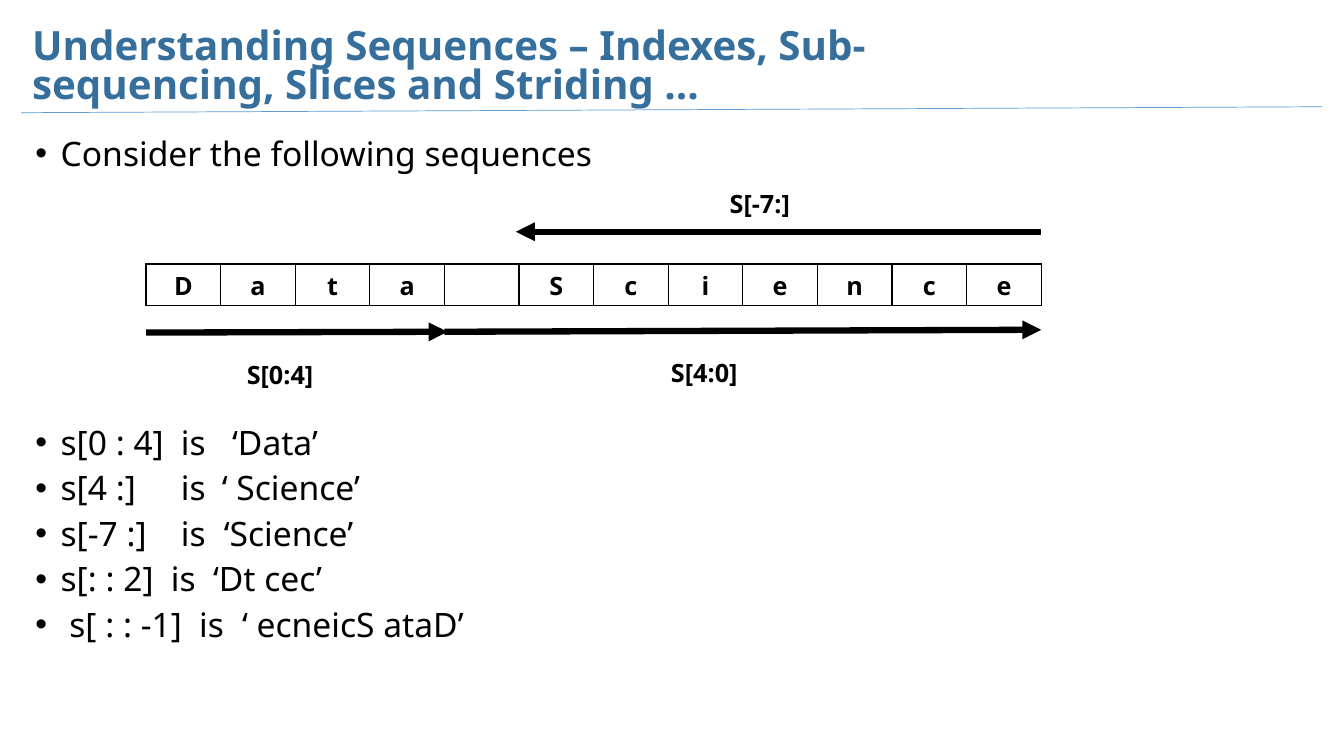
from dataclasses import dataclass
from lxml.etree import SubElement
from pptx import Presentation
from pptx.dml.color import RGBColor
from pptx.enum.shapes import MSO_CONNECTOR
from pptx.enum.text import MSO_ANCHOR, PP_ALIGN
from pptx.oxml.ns import qn
from pptx.util import Cm, Pt


@dataclass(frozen=True)
class Theme:
    font: str = "Noto Sans"
    blue: str = "366E9C"
    rule: str = "5B9BD5"
    ink: str = "000000"
    head: float = 28.8
    body: int = 24
    label: int = 18
    thin: float = 0.5
    edge: int = 1
    thick: float = 4.5


theme = Theme()
title = "Understanding Sequences – Indexes, Sub-sequencing, Slices and Striding …"
intro = [("Consider the following sequences", ())]
slices = [
    ("s[0 : 4]\tis\t‘Data’", (3.67, 4.96)),
    ("s[4 :]\tis\t‘ Science’", (3.67, 4.7)),
    ("s[-7 :]\tis\t‘Science’", (3.67, 4.75)),
    ("s[: : 2]\tis\t‘Dt cec’", (3.42, 4.48)),
    (" s[ : : -1]\tis\t‘ ecneicS ataD’", (4.13, 5.21)),
]
word = "Data Science"
left, top, step, high = 3.68, 6.65, 1.88, 1.04
right = left + step * len(word)
labels = [("S[-7:]", 18.14, 4.62), ("S[0:4]", 5.97, 8.92), ("S[4:0]", 16.66, 8.89)]
arrows = [
    (right, 5.84, 13.0, 5.84),
    (left, 8.38, 11.28, 8.36),
    (left + 4 * step, 8.36, right, 8.31),
]

deck = Presentation()
deck.slide_width, deck.slide_height = Cm(33.87), Cm(19.05)
slide = deck.slides.add_slide(deck.slide_layouts[6])
shapes = slide.shapes


def write(par, text, size, color=theme.ink, bold=False):
    run = par.add_run()
    run.text = text
    font = run.font
    font.name, font.size, font.bold = theme.font, Pt(size), bold
    font.color.rgb = RGBColor.from_string(color)


def add_box(x, y, wide, tall):
    frame = shapes.add_textbox(Cm(x), Cm(y), Cm(wide), Cm(tall)).text_frame
    frame.word_wrap = True
    return frame


def add_list(items, y, tall):
    frame = add_box(0.64, y, 32.46, tall)
    for i, (text, tabs) in enumerate(items):
        par = frame.add_paragraph() if i else frame.paragraphs[0]
        par.line_spacing = 0.85
        par.space_before = Pt(8 if i else 0)
        props = par._p.get_or_add_pPr()
        props.set("marL", str(Cm(0.64)))
        props.set("indent", str(-Cm(0.64)))
        SubElement(props, qn("a:buFont"), typeface="Arial")
        SubElement(props, qn("a:buChar"), char="•")
        if tabs:
            stops = SubElement(props, qn("a:tabLst"))
            for stop in tabs:
                SubElement(stops, qn("a:tab"), pos=str(Cm(stop)), algn="l")
        write(par, text, theme.body)


def add_line(x1, y1, x2, y2, color, width, arrow=False):
    link = shapes.add_connector(
        MSO_CONNECTOR.STRAIGHT, Cm(x1), Cm(y1), Cm(x2), Cm(y2))
    link.line.color.rgb = RGBColor.from_string(color)
    link.line.width = Pt(width)
    if arrow:
        SubElement(link.line._ln, qn("a:tailEnd"), type="triangle")
    SubElement(link._element.spPr, qn("a:effectLst"))


def add_edges(cell):
    props = cell._tc.get_or_add_tcPr()
    for side in ("lnL", "lnR", "lnT", "lnB"):
        line = SubElement(props, qn(f"a:{side}"), w=str(Pt(theme.edge)))
        fill = SubElement(line, qn("a:solidFill"))
        SubElement(fill, qn("a:srgbClr"), val=theme.ink)


def add_word():
    table = shapes.add_table(
        1, len(word), Cm(left), Cm(top), Cm(step * len(word)), Cm(high)).table
    table.first_row = table.horz_banding = False
    for i, char in enumerate(word):
        table.columns[i].width = Cm(step)
        cell = table.cell(0, i)
        add_edges(cell)
        cell.fill.background()
        par = cell.text_frame.paragraphs[0]
        par.alignment = PP_ALIGN.CENTER
        if char.strip():
            write(par, char, theme.label, bold=True)


head = add_box(0.56, 0.76, 25.7, 1.78)
head.vertical_anchor = MSO_ANCHOR.MIDDLE
head.margin_top, head.margin_bottom = Cm(0.15), Cm(0)
head.paragraphs[0].line_spacing = 0.8
write(head.paragraphs[0], title, theme.head, theme.blue, True)

add_list(intro, 3.38, 1.3)
add_list(slices, 10.66, 6.6)
add_line(0.53, 2.84, 33.32, 2.69, theme.rule, theme.thin)
add_word()
for ends in arrows:
    add_line(*ends, theme.ink, theme.thick, True)
for text, x, y in labels:
    write(add_box(x, y, 2.87, 1.02).paragraphs[0], text, theme.label, bold=True)

deck.save("out.pptx")
